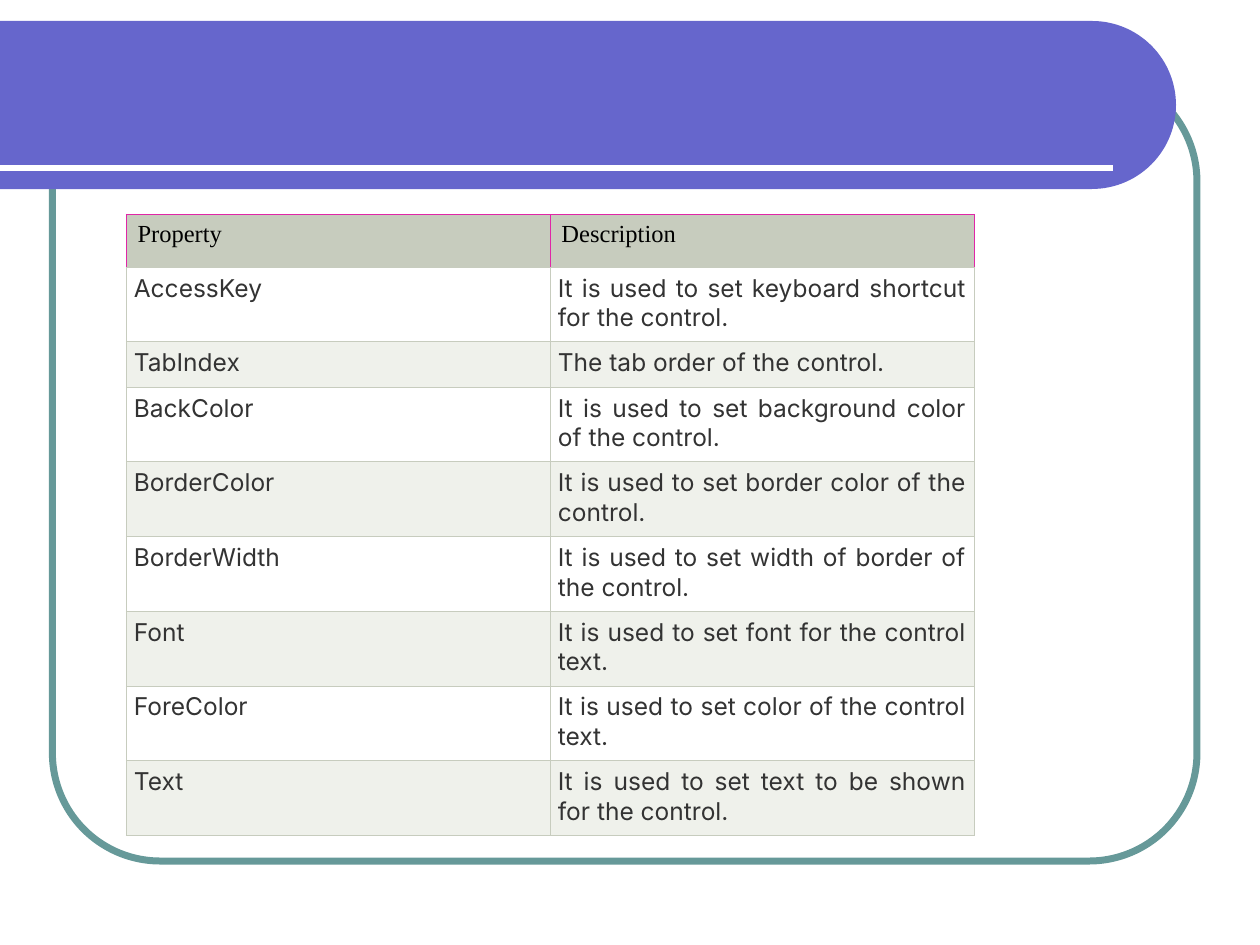
from math import cos, pi, sin

from lxml import etree
from pptx import Presentation
from pptx.dml.color import RGBColor
from pptx.enum import shapes as kinds, text as styles
from pptx.oxml import ns
from pptx.util import Pt

INK = {
    "band": "6666CC", "frame": "669999", "rule": "FFFFFF",
    "head": "C7CCBE", "odd": "FFFFFF", "even": "EFF1EB",
    "edge": "C7CCBE", "pink": "E026A7", "black": "000000", "text": "333333",
}
HEAD = {"size": Pt(14), "name": "Times New Roman"}
BODY = {"size": Pt(14), "name": "Inter"}
EDGE = 0.34
ROWS = [
    ("Property", "Description"),
    ("AccessKey", "It is used to set keyboard shortcut for the control."),
    ("TabIndex", "The tab order of the control."),
    ("BackColor", "It is used to set background color of the control."),
    ("BorderColor", "It is used to set border color of the control."),
    ("BorderWidth", "It is used to set width of border of the control."),
    ("Font", "It is used to set font for the control text."),
    ("ForeColor", "It is used to set color of the control text."),
    ("Text", "It is used to set text to be shown for the control."),
]


def tint(key):
    return RGBColor.from_string(INK[key])


def paint(fill, key):
    fill.solid()
    fill.fore_color.rgb = tint(key)


def stroke(line, key, width):
    line.color.rgb = tint(key)
    line.width = Pt(width)


def draw_frame(slide, x, y, w, h):
    """Rounded outline behind the content."""
    frame = slide.shapes.add_shape(
        kinds.MSO_SHAPE.ROUNDED_RECTANGLE, Pt(x), Pt(y), Pt(w), Pt(h))
    frame.adjustments[0] = 0.137
    frame.shadow.inherit = False
    frame.fill.background()
    stroke(frame.line, "frame", 4)


def draw_band(slide, x, y, w, h):
    """Title band with a round right end and a rule near its foot."""
    rad, steps = h / 2, 60
    turns = [pi * i / steps - pi / 2 for i in range(steps + 1)]
    arc = [(Pt(x + w - rad + rad * cos(a)), Pt(y + rad + rad * sin(a)))
           for a in turns]
    pen = slide.shapes.build_freeform(Pt(x), Pt(y))
    pen.add_line_segments(arc + [(Pt(x), Pt(y + h))], close=True)
    band = pen.convert_to_shape()
    band.shadow.inherit = False
    paint(band.fill, "band")
    band.line.fill.background()

    rule = slide.shapes.add_connector(
        kinds.MSO_CONNECTOR.STRAIGHT,
        Pt(x), Pt(y + h - 12), Pt(x + w - 36), Pt(y + h - 12))
    stroke(rule.line, "rule", 3)
    etree.SubElement(rule._element.spPr, ns.qn("a:effectLst"))


def set_edges(cell, keys):
    """Cell borders, given as colour keys for left, right, top, bottom."""
    props = cell._tc.get_or_add_tcPr()
    for side, key in zip("LRTB", keys):
        line = etree.SubElement(props, ns.qn(f"a:ln{side}"), w=str(Pt(EDGE)))
        fill = etree.SubElement(line, ns.qn("a:solidFill"))
        etree.SubElement(fill, ns.qn("a:srgbClr"), val=INK[key])


def fill_cell(cell, words, row):
    top = row == 0
    set_edges(cell, ["pink"] * 3 + ["edge"] if top
              else ["edge", "edge", "edge", "edge"])
    paint(cell.fill, "head" if top else "odd" if row % 2 else "even")
    side = Pt(6.6 if top else 4.5)
    pads = {"margin_left": side, "margin_right": side,
            "margin_top": Pt(3.6), "margin_bottom": Pt(3.6)}
    for name, value in pads.items():
        setattr(cell, name, value)
    cell.text = words
    para = cell.text_frame.paragraphs[0]
    if not top:
        para.alignment = styles.PP_ALIGN.JUSTIFY
    font = para.runs[0].font
    look = HEAD if top else BODY
    for name, value in {**look, "bold": False}.items():
        setattr(font, name, value)
    font.color.rgb = tint("black" if top else "text")


def draw_table(slide, x, y, w, h):
    """Property table: short header, one one-line row, the rest equal."""
    short = {0: 30.2, 2: 25.9}
    tall = (h - sum(short.values())) / (len(ROWS) - len(short))
    grid = slide.shapes.add_table(
        len(ROWS), 2, Pt(x), Pt(y), Pt(w), Pt(h)).table
    for col in grid.columns:
        col.width = Pt(w / 2)
    for r, row in enumerate(ROWS):
        grid.rows[r].height = Pt(short.get(r, tall))
        for c, words in enumerate(row):
            fill_cell(grid.cell(r, c), words, r)


def main():
    deck = Presentation()
    deck.slide_width, deck.slide_height = Pt(720), Pt(540)
    slide = deck.slides.add_slide(deck.slide_layouts[6])
    draw_frame(slide, 30, 42, 654, 450)
    draw_band(slide, 0, 12, 672, 96)
    draw_table(slide, 72, 122.4, 484.6, 355)
    deck.save("out.pptx")


if __name__ == "__main__":
    main()
